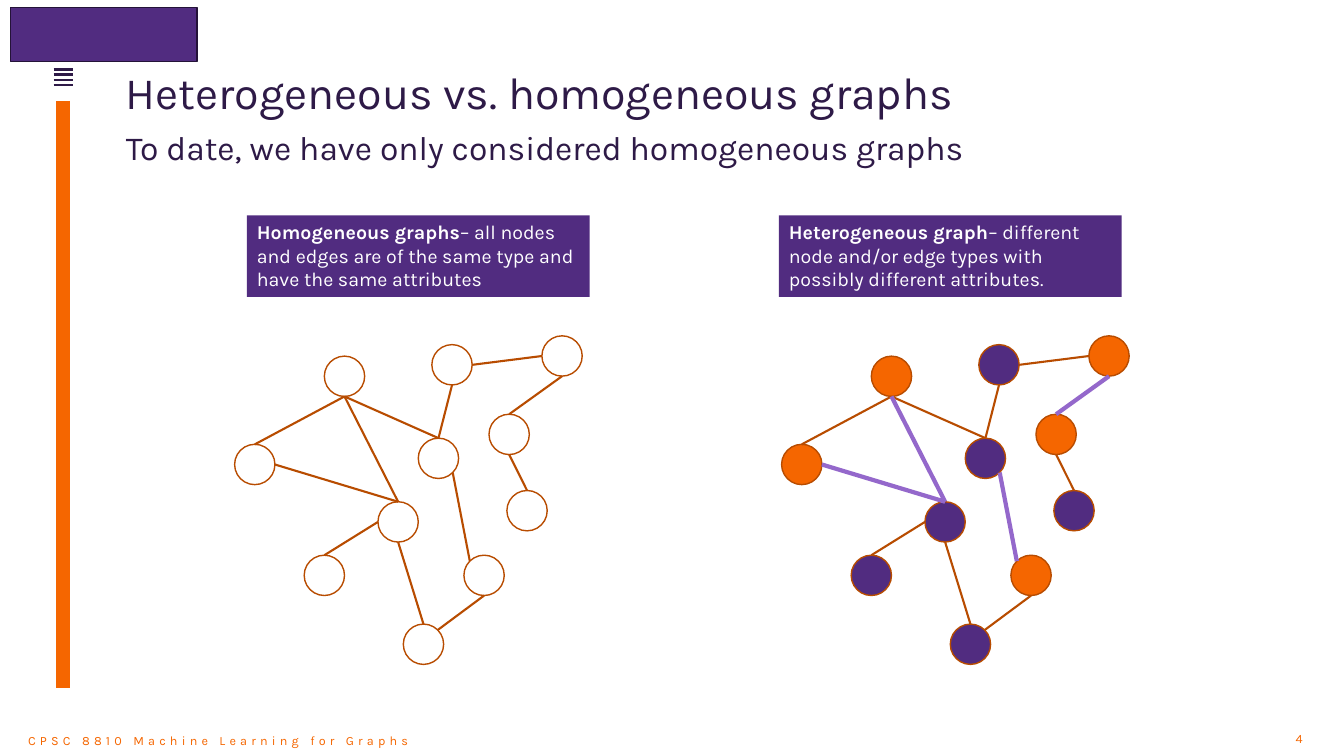
from dataclasses import dataclass
from math import sqrt

from lxml import etree
from pptx import Presentation
from pptx.dml.color import RGBColor
from pptx.enum.shapes import MSO_CONNECTOR as CXN, MSO_SHAPE as SHAPE
from pptx.enum.text import MSO_ANCHOR as ANCHOR, PP_ALIGN as ALIGN
from pptx.oxml.ns import qn
from pptx.util import Pt


@dataclass(frozen=True)
class Theme:
    font: str = "Karla"
    purple: str = "512C80"
    purple_edge: str = "241338"
    ink: str = "2E1A47"
    orange: str = "F56600"
    rust: str = "B84C00"
    lilac: str = "9468CB"
    white: str = "FFFFFF"
    title: int = 32
    subtitle: int = 24
    label: int = 14
    footer: int = 9


T = Theme()
prs = Presentation()
prs.slide_width, prs.slide_height = Pt(960), Pt(540)
s = prs.slides.add_slide(prs.slide_layouts[6])


def add_line(x1, y1, x2, y2, color, width):
    c = s.shapes.add_connector(CXN.STRAIGHT, Pt(x1), Pt(y1), Pt(x2), Pt(y2))
    c.line.color.rgb = RGBColor.from_string(color)
    c.line.width = Pt(width)
    etree.SubElement(c._element.spPr, qn("a:effectLst"))


def write(sp, runs, size, color, insets=(0, 0, 0, 0), anchor=ANCHOR.TOP,
          align=ALIGN.LEFT, tracking=0):
    tf = sp.text_frame
    tf.word_wrap = True
    tf.vertical_anchor = anchor
    tf.margin_left, tf.margin_top, tf.margin_right, tf.margin_bottom = map(Pt, insets)
    p = tf.paragraphs[0]
    p.alignment = align
    for text, bold in runs:
        r = p.add_run()
        r.text = text
        r.font.name, r.font.size, r.font.bold = T.font, Pt(size), bold
        r.font.color.rgb = RGBColor.from_string(color)
        if tracking:
            r._r.get_or_add_rPr().set("spc", str(tracking * 100))
    return p


# Corner block
sp = s.shapes.add_shape(SHAPE.RECTANGLE, Pt(7.4), Pt(5.3), Pt(133.4), Pt(38.7))
sp.shadow.inherit = False
sp.fill.solid()
sp.fill.fore_color.rgb = RGBColor.from_string(T.purple)
sp.line.color.rgb = RGBColor.from_string(T.purple_edge)
sp.line.width = Pt(1)

# Menu bars and side rule
for i in range(4):
    y = 49.8 + 3.6 * i
    add_line(38.4, y, 52.4, y, T.ink, 1.75)
add_line(45, 72, 45, 491.3, T.orange, 10)

# Footer and page number
for text, box, align in [
    ("CPSC 8810 Machine Learning for Graphs", (20, 514.2, 286, 26), ALIGN.LEFT),
    ("4", (916.5, 516.2, 23, 19), ALIGN.CENTER),
]:
    sp = s.shapes.add_textbox(*map(Pt, box))
    write(sp, [(text, False)], T.footer, T.orange, (0, 3.6, 0, 0),
          ANCHOR.MIDDLE, align, tracking=3)

# Title and subtitle
for text, box, size in [
    ("Heterogeneous vs. homogeneous graphs", (90, 50.4, 828, 34.6), T.title),
    ("To date, we have only considered homogeneous graphs", (90, 93.6, 687.6, 52.6), T.subtitle),
]:
    sp = s.shapes.add_textbox(*map(Pt, box))
    p = write(sp, [(text, False)], size, T.ink)
    p.line_spacing = 0.9

# Definition labels
for x, term, meaning in [
    (176.4, "Homogeneous graphs",
     "– all nodes and edges are of the same type and have the same attributes"),
    (556.4, "Heterogeneous graph",
     "– different node and/or edge types with possibly different attributes."),
]:
    sp = s.shapes.add_shape(SHAPE.RECTANGLE, Pt(x), Pt(153.8), Pt(244.8), Pt(58.2))
    sp.shadow.inherit = False
    sp.fill.solid()
    sp.fill.fore_color.rgb = RGBColor.from_string(T.purple)
    sp.line.fill.background()
    write(sp, [(term, True), (meaning, False)], T.label, T.white, (7.2, 3.6, 7.2, 3.6))

# Graph: node centres with their type colour in the heterogeneous version
R = 14.4
nodes = {
    "A": (246.1, 268.8, T.orange),
    "B": (322.9, 260.6, T.purple),
    "C": (401.5, 254.3, T.orange),
    "D": (363.7, 310.3, T.orange),
    "E": (376.5, 364.8, T.purple),
    "F": (313.2, 327.4, T.purple),
    "G": (182, 331.8, T.orange),
    "H": (284.4, 372.8, T.purple),
    "I": (231.7, 411, T.purple),
    "J": (345.8, 411, T.orange),
    "K": (302.5, 460.2, T.purple),
}
# Points on a node's rim where edges attach
d = 1 / sqrt(2)
rim = {"N": (0, -1), "S": (0, 1), "E": (1, 0), "W": (-1, 0),
       "NE": (d, -d), "NW": (-d, -d), "SE": (d, d)}
# Start node, its rim point, end node, its rim point, second edge type
edges = [
    ("A", "S", "G", "N", False),
    ("A", "S", "F", "N", False),
    ("A", "S", "H", "N", True),
    ("H", "W", "I", "N", False),
    ("H", "N", "G", "E", True),
    ("F", "SE", "J", "NW", True),
    ("B", "S", "F", "N", False),
    ("H", "S", "K", "N", False),
    ("J", "S", "K", "NE", False),
    ("D", "S", "E", "N", False),
    ("B", "E", "C", "W", False),
    ("C", "S", "D", "N", True),
]

# Draw the graph twice: plain on the left, typed on the right
for dx, typed in [(0, False), (390.7, True)]:
    for x, y, color in nodes.values():
        sp = s.shapes.add_shape(SHAPE.OVAL, Pt(x + dx - R), Pt(y - R), Pt(2 * R), Pt(2 * R))
        sp.shadow.inherit = False
        if typed:
            sp.fill.solid()
            sp.fill.fore_color.rgb = RGBColor.from_string(color)
        else:
            sp.fill.background()
        sp.line.color.rgb = RGBColor.from_string(T.rust)
        sp.line.width = Pt(1)
    for start, start_rim, end, end_rim, second_type in edges:
        (x1, y1, _), (x2, y2, _) = nodes[start], nodes[end]
        (u1, v1), (u2, v2) = rim[start_rim], rim[end_rim]
        color, width = (T.lilac, 3) if typed and second_type else (T.rust, 1.5)
        add_line(x1 + dx + R * u1, y1 + R * v1, x2 + dx + R * u2, y2 + R * v2, color, width)

prs.save("out.pptx")
